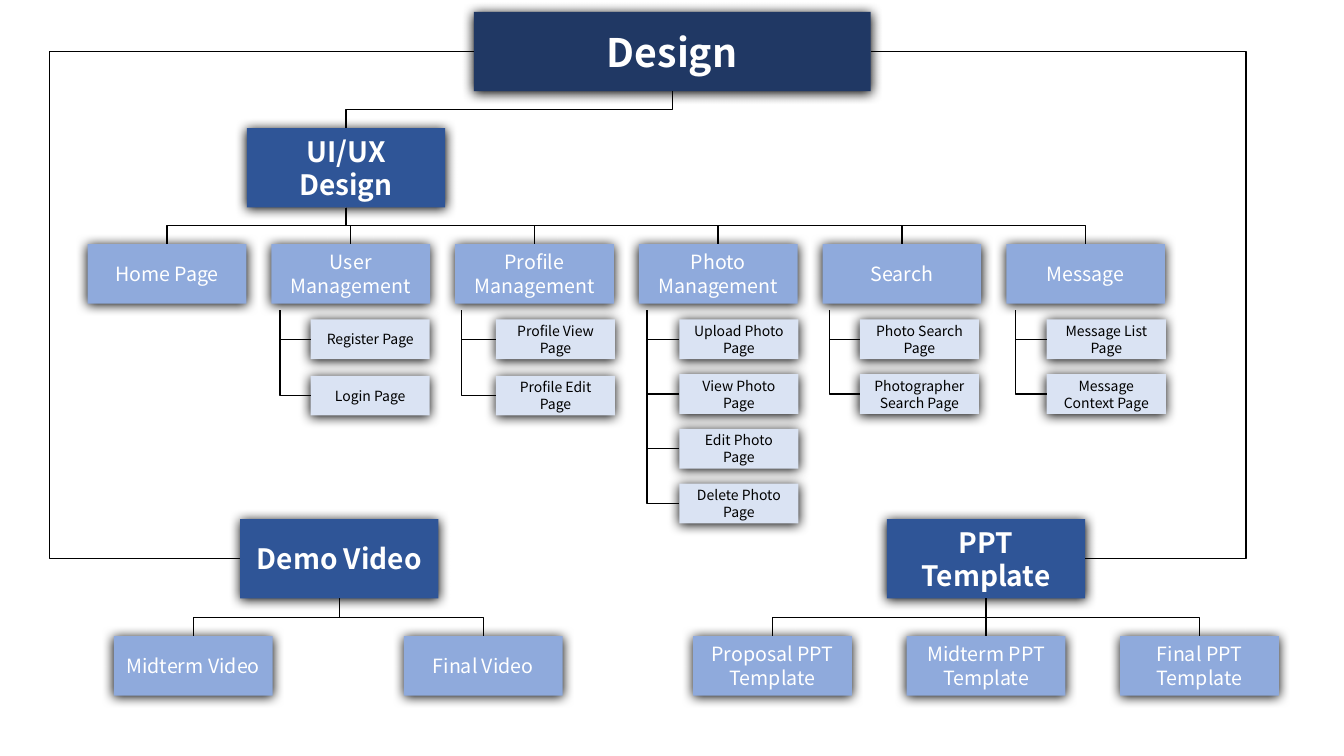
"""Build the design breakdown tree slide."""
import lxml.etree
import pptx
import pptx.dml.color
import pptx.enum.shapes
import pptx.enum.text
import pptx.oxml.ns
import pptx.util

Cm, Pt = pptx.util.Cm, pptx.util.Pt
RGBColor = pptx.dml.color.RGBColor
qn = pptx.oxml.ns.qn

NAVY = RGBColor(0x20, 0x38, 0x64)
BLUE = RGBColor(0x2F, 0x55, 0x97)
SKY = RGBColor(0x8F, 0xAA, 0xDC)
PALE = RGBColor(0xDA, 0xE3, 0xF3)
WHITE = RGBColor(0xFF, 0xFF, 0xFF)
BLACK = RGBColor(0, 0, 0)
FONT = "Noto Sans CJK KR"
TOP, LEFT, BOTTOM, RIGHT = range(4)

# level: width, height, fill, font colour, size, bold
LEVELS = {
    "root": (10, 2, NAVY, WHITE, 28, True),
    "branch": (5, 2, BLUE, WHITE, 20, True),
    "group": (4, 1.5, SKY, WHITE, 14, False),
    "leaf": (3, 1, PALE, BLACK, 10, False),
}
ROOT = ("Design", 11.94, 0.3)
# branch: name, left, top, first child left, child step, child top, children
BRANCHES = [
    ("UI/UX Design", 6.22, 3.23, 2.21, 4.63, 6.15,
     ["Home Page", "User Management", "Profile Management",
      "Photo Management", "Search", "Message"]),
    ("Demo Video", 6.05, 13.08, 2.87, 7.31, 16.03,
     ["Midterm Video", "Final Video"]),
    ("PPT Template", 22.35, 13.08, 17.47, 5.38, 16.03,
     ["Proposal PPT Template", "Midterm PPT Template", "Final PPT Template"]),
]
# group: trunk left, leaf left, leaf step, leaves
LEAVES = {
    "User Management": (7.06, 7.83, 1.42, ["Register Page", "Login Page"]),
    "Profile Management": (11.63, 12.5, 1.42,
                           ["Profile View Page", "Profile Edit Page"]),
    "Photo Management": (16.31, 17.12, 1.38,
                         ["Upload Photo Page", "View Photo Page",
                          "Edit Photo Page", "Delete Photo Page"]),
    "Search": (20.9, 21.67, 1.38,
               ["Photo Search Page", "Photographer Search Page"]),
    "Message": (25.6, 26.38, 1.38,
                ["Message List Page", "Message Context Page"]),
}
TRUNK_TOP, LEAF_TOP = 7.82, 8.05
RAILS = {"Demo Video": (LEFT, 1.25), "PPT Template": (RIGHT, 31.4)}


def add_box(page, level, name, left, top):
    width, height, fill, colour, size, bold = LEVELS[level]
    box = page.shapes.add_shape(
        pptx.enum.shapes.MSO_SHAPE.RECTANGLE,
        Cm(left), Cm(top), Cm(width), Cm(height))
    box.fill.solid()
    box.fill.fore_color.rgb = fill
    box.line.fill.background()
    box.shadow.inherit = False
    effects = box._element.spPr.find(qn("a:effectLst"))
    shadow = lxml.etree.SubElement(
        effects, qn("a:outerShdw"), blurRad=str(Pt(8.5)), dist=str(Pt(1)),
        dir="5400000", algn="t", rotWithShape="0")
    lxml.etree.SubElement(shadow, qn("a:srgbClr"), val=str(BLACK))
    frame = box.text_frame
    frame.text = name
    frame.word_wrap = True
    frame.vertical_anchor = pptx.enum.text.MSO_ANCHOR.MIDDLE
    para = frame.paragraphs[0]
    para.alignment = pptx.enum.text.PP_ALIGN.CENTER
    font = para.runs[0].font
    font.name, font.size, font.bold = FONT, Pt(size), bold
    font.color.rgb = colour
    return box


def side_point(box, side):
    middle, centre = box.left + box.width // 2, box.top + box.height // 2
    return {TOP: (middle, box.top), LEFT: (box.left, centre),
            BOTTOM: (middle, box.top + box.height),
            RIGHT: (box.left + box.width, centre)}[side]


def add_elbow(page, start, end):
    line = page.shapes.add_connector(
        pptx.enum.shapes.MSO_CONNECTOR.ELBOW, *start, *end)
    line.line.color.rgb = BLACK
    line.line.width = Pt(1)
    lxml.etree.SubElement(line._element.spPr, qn("a:effectLst"))
    return line


def start_downwards(line, start, end):
    """Turn an elbow so that its first leg runs down."""
    across, down = abs(end[0] - start[0]), end[1] - start[1]
    line.left = (start[0] + end[0] - down) // 2
    line.top = (start[1] + end[1] - across) // 2
    line.width, line.height = down, across
    frame = line._element.spPr.find(qn("a:xfrm"))
    frame.attrib.pop("flipH", None)
    frame.set("rot", "5400000")
    if end[0] >= start[0]:
        frame.set("rot", "16200000")
        frame.set("flipH", "1")


def link_down(page, parent, child):
    start, end = side_point(parent, BOTTOM), side_point(child, TOP)
    line = add_elbow(page, start, end)
    line.begin_connect(parent, BOTTOM)
    line.end_connect(child, TOP)
    start_downwards(line, start, end)


def link_leaf(page, trunk, leaf):
    start, end = (Cm(trunk), Cm(TRUNK_TOP)), side_point(leaf, LEFT)
    line = add_elbow(page, start, end)
    line.end_connect(leaf, LEFT)
    line._element.spPr.find(qn("a:prstGeom")).set("prst", "bentConnector2")
    start_downwards(line, start, end)


def link_around(page, parent, child, side, rail):
    start, end = side_point(parent, side), side_point(child, side)
    line = add_elbow(page, start, end)
    line.begin_connect(parent, side)
    line.end_connect(child, side)
    bend = round((Cm(rail) - start[0]) / (end[0] - start[0]) * 100000)
    guides = line._element.spPr.find(qn("a:prstGeom")).find(qn("a:avLst"))
    lxml.etree.SubElement(guides, qn("a:gd"), name="adj1", fmla=f"val {bend}")


def main():
    deck = pptx.Presentation()
    deck.slide_width, deck.slide_height = Cm(33.87), Cm(19.05)
    page = deck.slides.add_slide(deck.slide_layouts[6])
    root = add_box(page, "root", *ROOT)
    links = []
    for name, left, top, first, step, row, groups in BRANCHES:
        branch = add_box(page, "branch", name, left, top)
        if name in RAILS:
            links.append((link_around, root, branch, *RAILS[name]))
        else:
            links.append((link_down, root, branch))
        for column, group_name in enumerate(groups):
            group = add_box(page, "group", group_name,
                            first + column * step, row)
            links.append((link_down, branch, group))
    for trunk, left, step, names in LEAVES.values():
        for row, name in enumerate(names):
            leaf = add_box(page, "leaf", name, left, LEAF_TOP + row * step)
            links.append((link_leaf, trunk, leaf))
    for link, *ends in links:
        link(page, *ends)
    deck.save("out.pptx")


if __name__ == "__main__":
    main()
